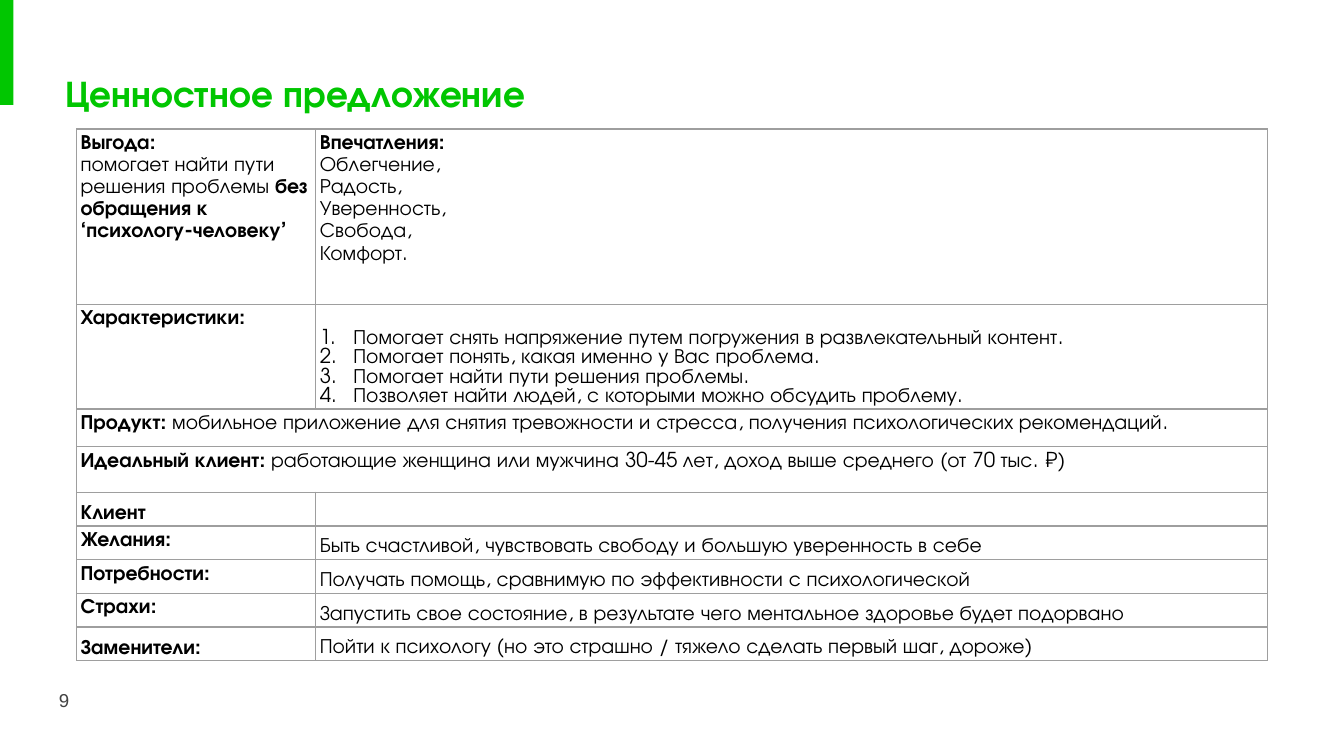
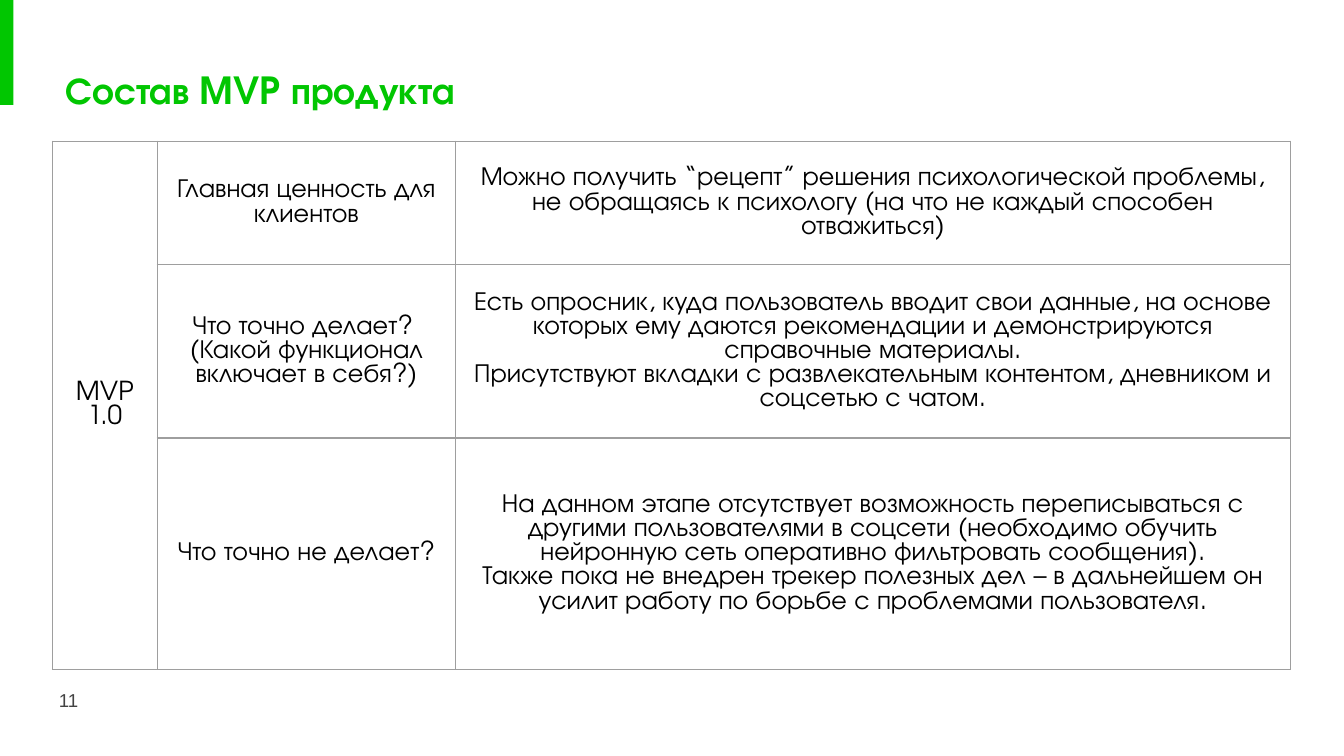
"""Build two slides: a value proposition table and an MVP scope table."""
from lxml.etree import SubElement
from pptx import Presentation
from pptx.dml.color import RGBColor
from pptx.enum.shapes import MSO_SHAPE
from pptx.enum.text import MSO_ANCHOR as Anchor, MSO_AUTO_SIZE as AutoSize, PP_ALIGN as Align
from pptx.oxml.ns import qn
from pptx.util import Inches, Pt

GREEN = RGBColor(0x01, 0xC6, 0x01)
BLACK = RGBColor(0, 0, 0)
GRAY = RGBColor(0x43, 0x43, 0x43)
BORDER = RGBColor(0x9E, 0x9E, 0x9E)
FONT, NUMBER_FONT = "TeX Gyre Adventor", "Arial"
BOLD_MARK = "**"
SLIDE_WIDTH = Inches(10)
SLIDE_HEIGHT = SLIDE_WIDTH * 9 // 16

FEATURES = [
    "Помогает снять напряжение путем погружения в развлекательный контент.",
    "Помогает понять, какая именно у Вас проблема.",
    "Помогает найти пути решения проблемы.",
    "Позволяет найти людей, с которыми можно обсудить проблему.",
]
VALUE_ROWS = [
    (["**Выгода:**", "помогает найти пути решения проблемы **без обращения к ‘психологу-человеку’**"],
     ["**Впечатления:**", "Облегчение,", "Радость,", "Уверенность,", "Свобода,", "Комфорт."]),
    (["**Характеристики:**"], FEATURES),
    (["**Продукт: **мобильное приложение для снятия тревожности и стресса, "
      "получения психологических рекомендаций."], None),
    (["**Идеальный клиент: **работающие женщина или мужчина 30-45 лет, "
      "доход выше среднего (от 70 тыс. ₽)"], None),
    (["**Клиент**"], [""]),
    (["**Желания:**"], ["Быть счастливой, чувствовать свободу и большую уверенность в себе"]),
    (["**Потребности:**"], ["Получать помощь, сравнимую по эффективности с психологической"]),
    (["**Страхи:**"],
     ["Запустить свое состояние, в результате чего ментальное здоровье будет подорвано"]),
    (["**Заменители:**"], ["Пойти к психологу (но это страшно / тяжело сделать первый шаг, дороже)"]),
]
VALUE_COLUMNS = [1.78, 7.08]
VALUE_HEIGHTS = [1.3, 0.78, 0.28, 0.34] + [0.25] * 5
BOTTOM_LABELS = ("**Клиент**", "**Заменители:**")

MVP_NAME = "MVP 1.0"
MVP_ROWS = [
    (["Главная ценность для клиентов"],
     ["Можно получить “рецепт” решения психологической проблемы, не обращаясь к психологу "
      "(на что не каждый способен отважиться)"]),
    (["Что точно делает? ", "(Какой функционал включает в себя?)"],
     ["Есть опросник, куда пользователь вводит свои данные, на основе которых ему даются "
      "рекомендации и демонстрируются справочные материалы.",
      "Присутствуют вкладки с развлекательным контентом, дневником и соцсетью с чатом."]),
    (["Что точно не делает?"],
     ["На данном этапе отсутствует возможность переписываться с другими пользователями в соцсети "
      "(необходимо обучить нейронную сеть оперативно фильтровать сообщения).",
      "Также пока не внедрен трекер полезных дел – в дальнейшем он усилит работу по борьбе "
      "с проблемами пользователя."]),
]
MVP_COLUMNS = [0.78, 2.22, 6.21]
MVP_HEIGHTS = [0.92, 1.29, 1.72]


def write(frame, lines, size=11, color=BLACK, font=FONT, bold=False,
          align=None, spacing=None, numbered=False):
    """Write lines as paragraphs; marked parts of a line are bold."""
    for index, line in enumerate(lines):
        paragraph = frame.paragraphs[0] if index == 0 else frame.add_paragraph()
        paragraph.alignment = align
        paragraph.line_spacing = spacing
        if numbered:
            properties = paragraph._p.get_or_add_pPr()
            properties.set("marL", str(Inches(0.25)))
            properties.set("indent", str(-Inches(0.25)))
            SubElement(properties, qn("a:buAutoNum"), type="arabicPeriod")
        for position, part in enumerate(line.split(BOLD_MARK)):
            if part:
                run = paragraph.add_run()
                run.text = part
                run.font.name = font
                run.font.size = Pt(size)
                run.font.bold = bold or position % 2 == 1
                run.font.color.rgb = color
        if not line:
            SubElement(paragraph._p, qn("a:endParaRPr"), sz=str(size * 100))


def add_text(slide, text, left, top, width, height, anchor=Anchor.TOP, grow=False, **style):
    """Add a wrapped text box with even insets."""
    frame = slide.shapes.add_textbox(*map(Inches, (left, top, width, height))).text_frame
    frame.word_wrap = True
    frame.vertical_anchor = anchor
    frame.margin_left = frame.margin_right = frame.margin_top = frame.margin_bottom = Inches(0.1)
    if grow:
        frame.auto_size = AutoSize.SHAPE_TO_FIT_TEXT
    write(frame, [text], **style)


def add_page(presentation, title, number, title_top, title_width, align=None):
    """Add a slide with the green mark, title and page number."""
    slide = presentation.slides.add_slide(presentation.slide_layouts[6])
    mark = slide.shapes.add_shape(MSO_SHAPE.RECTANGLE, 0, 0, Inches(0.1), Inches(0.78))
    mark.shadow.inherit = False
    mark.fill.solid()
    mark.fill.fore_color.rgb = GREEN
    mark.line.fill.background()
    add_text(slide, title, 0.39, title_top, title_width, 0.54, anchor=Anchor.MIDDLE,
             grow=True, size=20, color=GREEN, bold=True, align=align)
    add_text(slide, str(number), 0.34, 5.04, 0.6, 0.43, size=10, color=GRAY, font=NUMBER_FONT)
    return slide


def add_grid(slide, left, top, columns, heights):
    """Add an unfilled table with thin borders on every cell."""
    frame = slide.shapes.add_table(len(heights), len(columns),
                                   *map(Inches, (left, top, sum(columns), sum(heights))))
    table = frame.table
    table.first_row = table.horz_banding = False
    for column, width in zip(table.columns, columns):
        column.width = Inches(width)
    for row, height in zip(table.rows, heights):
        row.height = Inches(height)
    for cell in table.iter_cells():
        properties = cell._tc.get_or_add_tcPr()
        for side in ("lnL", "lnR", "lnT", "lnB"):
            line = SubElement(properties, qn(f"a:{side}"), w=str(Pt(0.75)))
            fill = SubElement(line, qn("a:solidFill"))
            SubElement(fill, qn("a:srgbClr"), val=str(BORDER))
        cell.fill.background()
    return table


def fill_cell(cell, lines, anchor, margins=None, **style):
    """Set the anchor, margins and text of a cell."""
    cell.vertical_anchor = anchor
    if margins:
        cell.margin_left = cell.margin_right = Inches(margins[0])
        cell.margin_top = cell.margin_bottom = Inches(margins[1])
    write(cell.text_frame, lines, **style)


def build_value_slide(presentation):
    """Build the value proposition slide."""
    slide = add_page(presentation, "Ценностное предложение", 9, 0.42, 5.44)
    table = add_grid(slide, 0.57, 0.96, VALUE_COLUMNS, VALUE_HEIGHTS)
    for index, (label, details) in enumerate(VALUE_ROWS):
        label_cell, detail_cell = table.cell(index, 0), table.cell(index, 1)
        anchor = Anchor.BOTTOM if label[0] in BOTTOM_LABELS else Anchor.TOP
        fill_cell(label_cell, label, anchor, (0.03, 0.02), spacing=1.15)
        if details is None:
            label_cell.merge(detail_cell)
            continue
        numbered = details is FEATURES
        fill_cell(detail_cell, details, Anchor.BOTTOM if index else Anchor.TOP, (0.03, 0.02),
                  spacing=None if numbered else 1.15, numbered=numbered)


def build_mvp_slide(presentation):
    """Build the MVP scope slide."""
    slide = add_page(presentation, "Состав MVP продукта ", 11, 0.4, 6.95, Align.JUSTIFY)
    table = add_grid(slide, 0.39, 1.05, MVP_COLUMNS, MVP_HEIGHTS)
    style = dict(anchor=Anchor.MIDDLE, size=14, align=Align.CENTER)
    table.cell(0, 0).merge(table.cell(len(MVP_ROWS) - 1, 0))
    fill_cell(table.cell(0, 0), [MVP_NAME], **style)
    for row, texts in enumerate(MVP_ROWS):
        for column, lines in enumerate(texts, start=1):
            fill_cell(table.cell(row, column), lines, **style)


def main():
    """Create and save the presentation."""
    presentation = Presentation()
    presentation.slide_width, presentation.slide_height = SLIDE_WIDTH, SLIDE_HEIGHT
    build_value_slide(presentation)
    build_mvp_slide(presentation)
    presentation.save("out.pptx")


if __name__ == "__main__":
    main()
